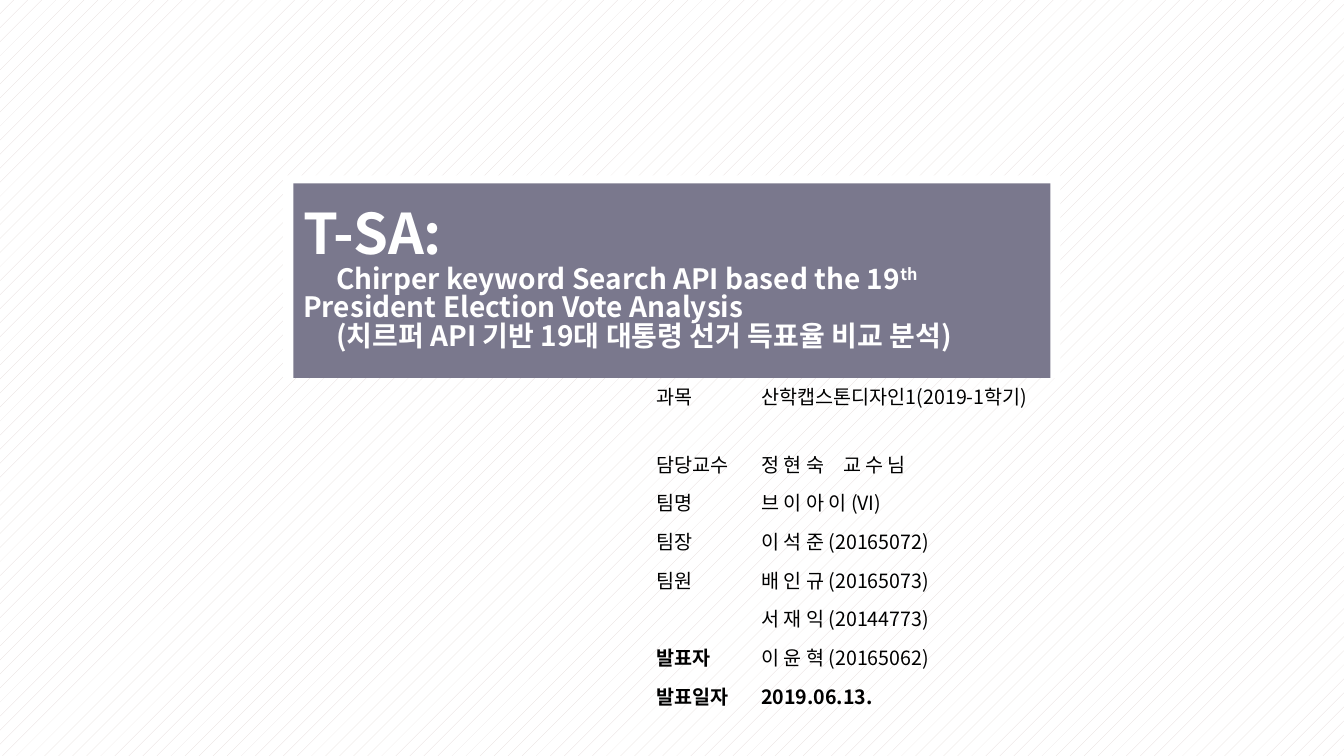
from lxml.etree import SubElement
from pptx import Presentation
from pptx.dml.color import RGBColor
from pptx.enum.dml import MSO_PATTERN
from pptx.enum.shapes import MSO_SHAPE
from pptx.enum.text import MSO_ANCHOR, PP_ALIGN
from pptx.oxml.ns import qn
from pptx.util import Pt

FONT = "Noto Sans CJK KR"
WHITE, BLACK, PURPLE, SAND = "FFFFFF", "000000", "7A788D", "E3D9D7"
NO_STYLE = "{2D5ABB26-0587-4C30-8999-92F81FD0307C}"
TITLE_INDENT = 23.5
TAB_STOP = 58.5

# (first line indent, [(text, size, raised)])
TITLE = [
    (0, [("T-SA:", 40, False)]),
    (TITLE_INDENT, [("Chirper keyword Search API based the 19", 20, False),
                    ("th", 20, True),
                    (" President Election Vote Analysis", 20, False)]),
    (TITLE_INDENT, [("(치르퍼 API 기반 19대 대통령 선거 득표율 비교 분석)", 20, False)]),
]
# (label, value, label bold, value bold)
DETAILS = [
    ("과목", "산학캡스톤디자인1(2019-1학기)", False, False),
    ("담당교수", "정 현 숙\t교 수 님", False, False),
    ("팀명", "브 이 아 이 (VI)", False, False),
    ("팀장", "이 석 준 (20165072)", False, False),
    ("팀원", "배 인 규 (20165073)", False, False),
    ("", "서 재 익 (20144773)", False, False),
    ("발표자", "이 윤 혁 (20165062)", True, False),
    ("발표일자", "2019.06.13.", True, True),
]
COLUMN_WIDTHS = (75, 214.5)
ROW_HEIGHT = 23.04


def color(value):
    return RGBColor.from_string(value)


def add_span(para, text, size=14, fill=BLACK, bold=False, raised=False):
    span = para.add_run()
    span.text = text
    font = span.font
    font.size, font.bold, font.name = Pt(size), bold, FONT
    font.color.rgb = color(fill)
    props = font._element
    SubElement(props, qn("a:ea")).set("typeface", FONT)
    if raised:
        props.set("baseline", "30000")


def add_block(page, left, top, width, height, fill):
    block = page.shapes.add_shape(MSO_SHAPE.RECTANGLE, Pt(left), Pt(top), Pt(width), Pt(height))
    block.shadow.inherit = False
    block.fill.solid()
    block.fill.fore_color.rgb = color(fill)
    block.line.fill.background()
    return block


def add_title(page):
    add_block(page, 202.3, 125.3, 555.1, 144.7, WHITE)
    frame = add_block(page, 209.5, 131, 540.7, 139, PURPLE).text_frame
    frame.word_wrap = True
    frame.vertical_anchor = MSO_ANCHOR.MIDDLE
    for index, (indent, spans) in enumerate(TITLE):
        para = frame.add_paragraph() if index else frame.paragraphs[0]
        para.alignment = PP_ALIGN.LEFT
        para.line_spacing = 0.85
        para._p.get_or_add_pPr().set("indent", str(Pt(indent)))
        for text, size, raised in spans:
            add_span(para, text, size=size, fill=WHITE, bold=True, raised=raised)


def fill_cell(cell, text, align, bold):
    cell.fill.background()
    para = cell.text_frame.paragraphs[0]
    para.alignment = align
    if "\t" in text:
        tabs = SubElement(para._p.get_or_add_pPr(), qn("a:tabLst"))
        SubElement(tabs, qn("a:tab"), pos=str(Pt(TAB_STOP)), algn="l")
    if text:
        add_span(para, text, bold=bold)
    else:
        SubElement(para._p, qn("a:endParaRPr"), sz="1400")


def add_details(page):
    frame = page.shapes.add_table(len(DETAILS), 2, Pt(461.5), Pt(269.3),
                                  Pt(sum(COLUMN_WIDTHS)), Pt(ROW_HEIGHT * len(DETAILS)))
    table = frame.table
    table.first_row = table.horz_banding = False
    table._tbl.tblPr.find(qn("a:tableStyleId")).text = NO_STYLE
    for column, width in zip(table.columns, COLUMN_WIDTHS):
        column.width = Pt(width)
    for row, (label, value, label_bold, value_bold) in zip(table.rows, DETAILS):
        row.height = Pt(ROW_HEIGHT)
        fill_cell(row.cells[0], label, PP_ALIGN.JUSTIFY, label_bold)
        fill_cell(row.cells[1], value, PP_ALIGN.LEFT, value_bold)


def main():
    deck = Presentation()
    deck.slide_width, deck.slide_height = Pt(960), Pt(540)
    page = deck.slides.add_slide(deck.slide_layouts[6])
    backdrop = page.background.fill
    backdrop.patterned()
    backdrop.pattern = MSO_PATTERN.PERCENT_5
    backdrop.fore_color.rgb = color(SAND)
    backdrop.back_color.rgb = color(WHITE)
    add_title(page)
    add_details(page)
    deck.save("out.pptx")


if __name__ == "__main__":
    main()
